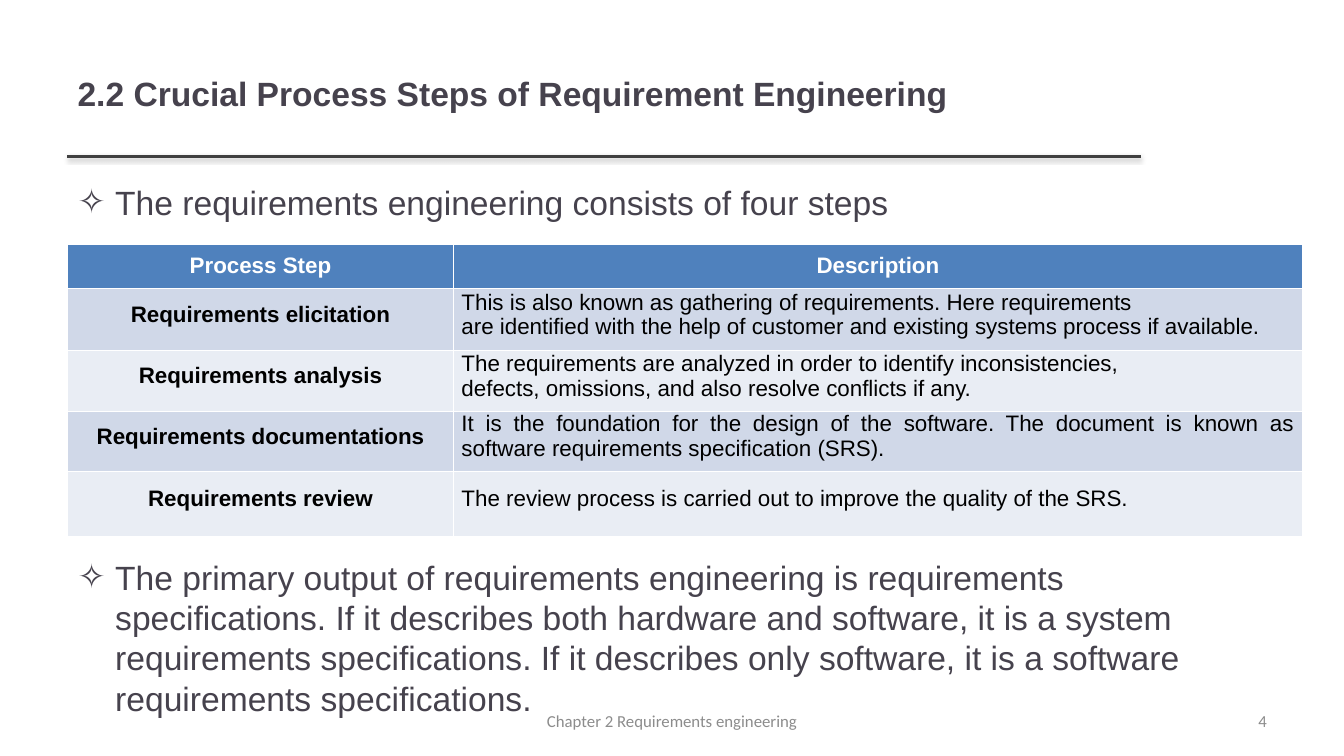
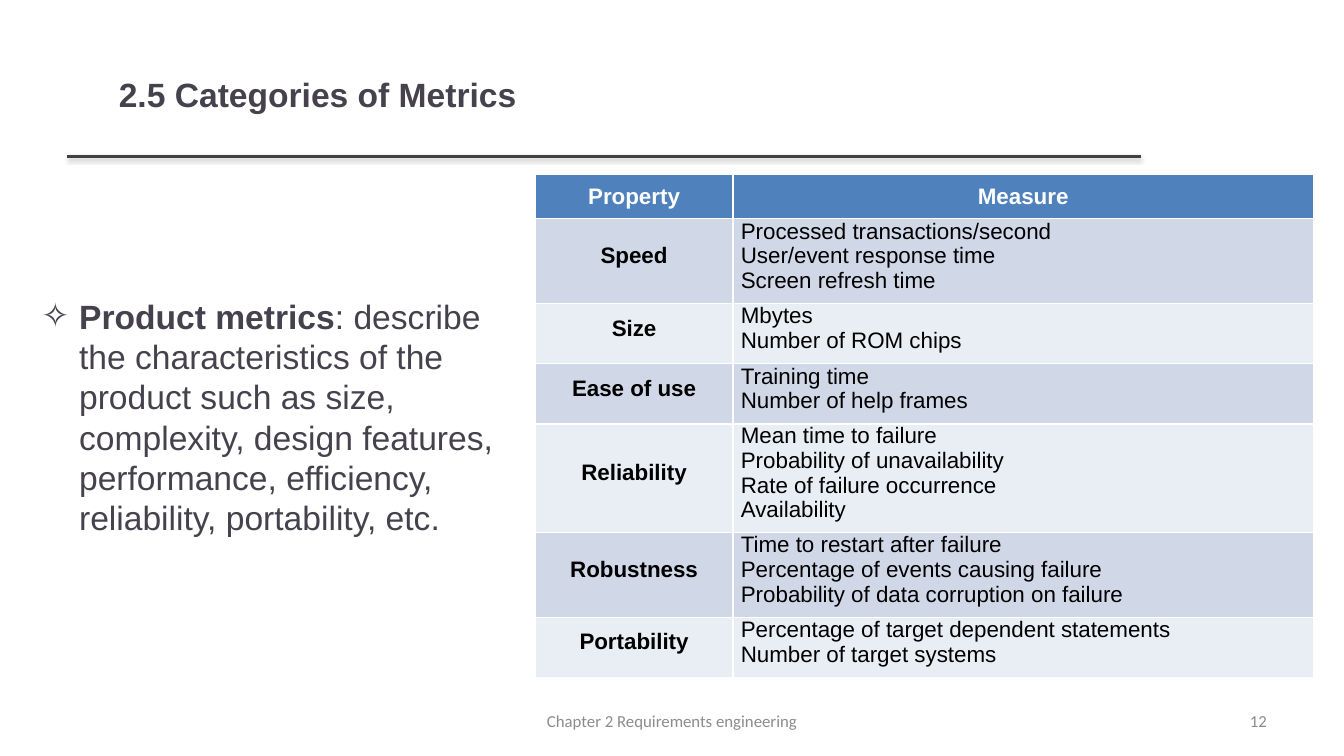
from lxml import etree
from pptx import Presentation
from pptx import util as u
from pptx.dml.color import RGBColor
from pptx.enum import shapes, text
from pptx.oxml import parse_xml
from pptx.oxml.ns import nsdecls, qn

COLORS = {
    "ink": "46424D",
    "rule": "404040",
    "footer": "8C8C8C",
    "header": "4F81BD",
    "band_dark": "D0D8E8",
    "band_light": "E9EDF4",
    "white": "FFFFFF",
    "black": "000000",
}
ALIGN = text.PP_ALIGN
MIDDLE = text.MSO_ANCHOR.MIDDLE
STEPS = [
    ("Requirements elicitation", [
        "This is also known as gathering of requirements. Here requirements",
        "are identified with the help of customer and existing systems process if available.",
    ]),
    ("Requirements analysis", [
        "The requirements are analyzed in order to identify inconsistencies,",
        "defects, omissions, and also resolve conflicts if any.",
    ]),
    ("Requirements documentations", [
        "It is the foundation for the design of the software. The document is known as "
        "software requirements specification (SRS).",
    ]),
    ("Requirements review", [
        "The review process is carried out to improve the quality of the SRS.",
    ]),
]
METRICS = [
    ("Speed", ["Processed transactions/second", "User/event response time",
               "Screen refresh time"]),
    ("Size", ["Mbytes", "Number of ROM chips"]),
    ("Ease of use", ["Training time", "Number of help frames"]),
    ("Reliability", ["Mean time to failure", "Probability of unavailability",
                     "Rate of failure occurrence", "Availability"]),
    ("Robustness", ["Time to restart after failure",
                    "Percentage of events causing failure",
                    "Probability of data corruption on failure"]),
    ("Portability", ["Percentage of target dependent statements",
                     "Number of target systems"]),
]


def rgb(name):
    return RGBColor.from_string(COLORS[name])


class Deck:
    def __init__(self):
        self.prs = Presentation()
        self.prs.slide_width, self.prs.slide_height = u.Cm(33.87), u.Cm(19.05)
        self.s = None

    def new_slide(self, title, title_box, number):
        self.s = self.prs.slides.add_slide(self.prs.slide_layouts[1])
        self.rule()
        self.title(title, title_box)
        self.footer("Chapter 2 Requirements engineering", 11.58, 10.72, ALIGN.CENTER)
        self.footer(number, 24.28, 7.9, ALIGN.RIGHT)

    def run(self, p, words, size, color, bold=False, font="Arial"):
        r = p.add_run()
        r.text = words
        r.font.name, r.font.size, r.font.bold = font, u.Pt(size), bold
        r.font.color.rgb = rgb(color)

    def place(self, sp, box):
        sp.left, sp.top, sp.width, sp.height = map(u.Cm, box)
        tf = sp.text_frame
        tf.auto_size = text.MSO_AUTO_SIZE.NONE
        tf.word_wrap = True
        return tf

    def rule(self):
        line = self.s.shapes.add_connector(
            shapes.MSO_CONNECTOR.STRAIGHT,
            u.Cm(1.7), u.Cm(3.94), u.Cm(28.75), u.Cm(3.94))
        line.line.color.rgb = rgb("rule")
        line.line.width = u.Pt(2)
        line.element.spPr.append(parse_xml(
            f'<a:effectLst {nsdecls("a")}>'
            f'<a:outerShdw blurRad="{u.Pt(3.1)}" dist="{u.Pt(1.6)}" dir="5400000" '
            'rotWithShape="0"><a:srgbClr val="000000"><a:alpha val="38000"/>'
            '</a:srgbClr></a:outerShdw></a:effectLst>'))

    def title(self, words, box):
        tf = self.place(self.s.shapes.title, box)
        tf.vertical_anchor = MIDDLE
        p = tf.paragraphs[0]
        p.alignment = ALIGN.LEFT
        self.run(p, words, 24, "ink", True)

    def footer(self, words, left, width, align):
        sp = self.s.shapes.add_textbox(0, 0, 0, 0)
        tf = self.place(sp, (left, 17.65, width, 1.02))
        tf.vertical_anchor = MIDDLE
        p = tf.paragraphs[0]
        p.alignment = align
        self.run(p, words, 12, "footer", font="Calibri")

    def bullets(self, box, items, gap=0):
        tf = self.place(self.s.placeholders[1], box)
        for i, runs in enumerate(items):
            p = tf.add_paragraph() if i else tf.paragraphs[0]
            pPr = p._p.get_or_add_pPr()
            pPr.set("marL", str(u.Cm(0.95)))
            pPr.set("indent", str(-u.Cm(0.95)))
            etree.SubElement(pPr, qn("a:buChar")).set("char", "✧")
            p.line_spacing = u.Pt(28.8)
            p.space_before = u.Pt(gap if i else 0)
            p.space_after = u.Pt(0)
            for words, bold in runs:
                self.run(p, words, 24, "ink", bold)

    def cell(self, cell, lines, fill, color, bold, align, header=False):
        cell.margin_left = cell.margin_right = u.Cm(0.2)
        cell.margin_top = u.Cm(0.25 if header else 0)
        cell.margin_bottom = u.Cm(0.25)
        cell.vertical_anchor = text.MSO_ANCHOR.TOP if header else MIDDLE
        cell.fill.solid()
        cell.fill.fore_color.rgb = rgb(fill)
        tf = cell.text_frame
        for i, words in enumerate(lines):
            p = tf.add_paragraph() if i else tf.paragraphs[0]
            p.alignment = align
            p.line_spacing = u.Pt(17.6)
            self.run(p, words, 16, color, bold)

    def table(self, left, top, widths, heights, heads, rows):
        heights = [1.12, *heights]
        table = self.s.shapes.add_table(
            len(heights), len(widths), u.Cm(left), u.Cm(top),
            u.Cm(sum(widths)), u.Cm(sum(heights))).table
        for col, width in zip(table.columns, widths):
            col.width = u.Cm(width)
        for row, height in zip(table.rows, heights):
            row.height = u.Cm(height)
        for c, head in enumerate(heads):
            self.cell(table.cell(0, c), [head], "header", "white", True,
                      ALIGN.CENTER, header=True)
        for i, (name, lines) in enumerate(rows, 1):
            fill = "band_dark" if i % 2 else "band_light"
            self.cell(table.cell(i, 0), [name], fill, "black", True, ALIGN.CENTER)
            self.cell(table.cell(i, 1), lines, fill, "black", False, ALIGN.JUSTIFY)


def main():
    deck = Deck()

    deck.new_slide("2.2 Crucial Process Steps of Requirement Engineering",
                   (1.7, 0.76, 27, 3.18), "4")
    deck.bullets((1.7, 4.45, 30.48, 13.8), [
        [("The requirements engineering consists of four steps", False)],
        [("The primary output of requirements engineering is requirements "
          "specifications. If it describes both hardware and software, it is a system "
          "requirements specifications. If it describes only software, it is a software "
          "requirements specifications.", False)],
    ], gap=239)
    deck.table(1.7, 6.15, [9.73, 21.39], [1.57, 1.52, 1.52, 1.63],
               ["Process Step", "Description"], STEPS)

    deck.new_slide("2.5 Categories of Metrics", (2.74, 0.84, 27.74, 3.07), "12")
    deck.bullets((0.79, 7.32, 12.67, 6.35), [
        [("Product metrics", True),
         (": describe the characteristics of the product such as size, complexity, "
          "design features, performance, efficiency, reliability, portability, etc.",
          False)],
    ])
    deck.table(13.49, 4.39, [4.98, 14.63],
               [0.3 + 0.61 * len(lines) for _, lines in METRICS],
               ["Property", "Measure"], METRICS)

    deck.prs.save("out.pptx")


if __name__ == "__main__":
    main()
